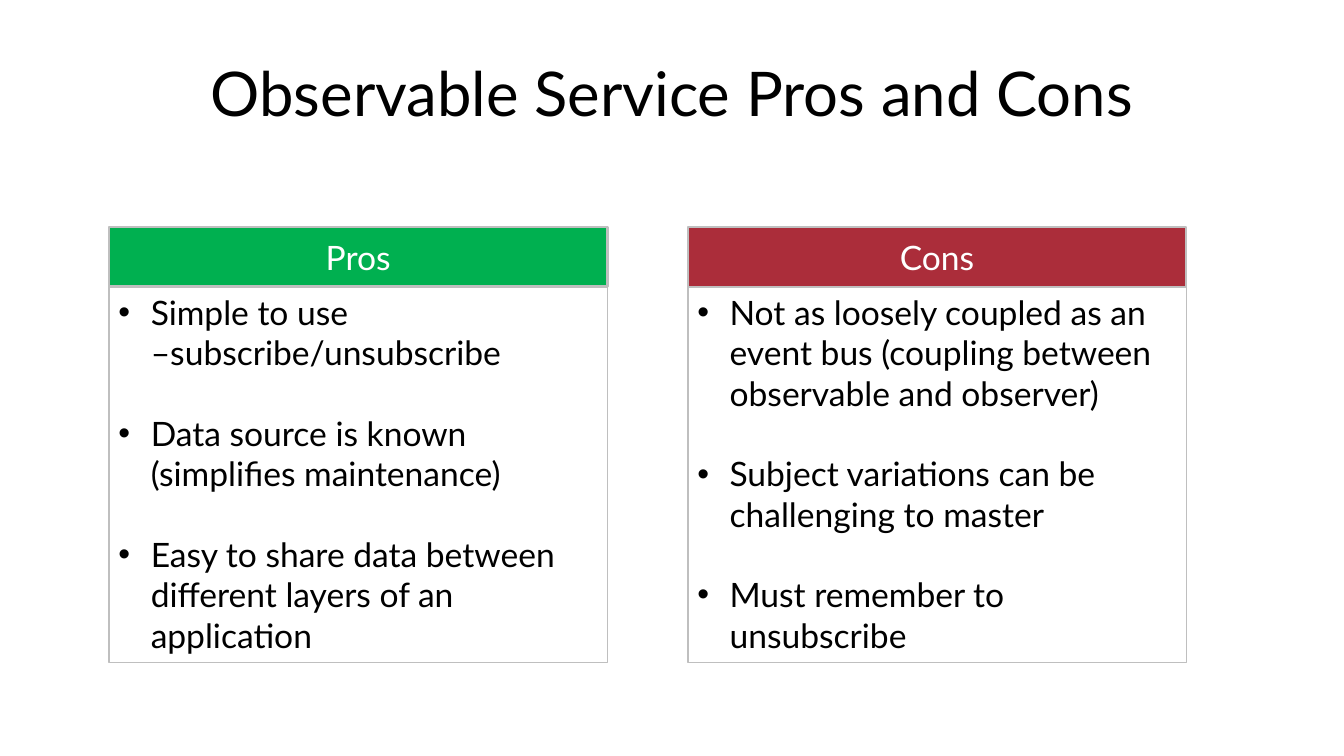
from lxml.etree import SubElement
from pptx import Presentation
from pptx.dml.color import RGBColor
from pptx.enum.shapes import MSO_SHAPE
from pptx.enum.text import MSO_ANCHOR, PP_ALIGN
from pptx.oxml.ns import qn
from pptx.util import Cm, Pt

BLACK = RGBColor(0x00, 0x00, 0x00)
WHITE = RGBColor(0xFF, 0xFF, 0xFF)
GREEN = RGBColor(0x00, 0xB0, 0x50)
RED = RGBColor(0xAB, 0x2D, 0x3A)
GRAY = RGBColor(0xBF, 0xBF, 0xBF)

COLUMN_LEFT = 2.06
COLUMN_STEP = 10.94
COLUMN_WIDTH = 9.42
HEADER_TOP = 4.29
HEADER_HEIGHT = 1.13
LIST_HEIGHT = 7.11

COLUMNS = [
    ("Pros", GREEN, 1.5, [
        "Simple to use –subscribe/unsubscribe",
        "Data source is known (simplifies maintenance)",
        "Easy to share data between different layers of an application",
    ]),
    ("Cons", RED, 1, [
        "Not as loosely coupled as an event bus (coupling between observable and observer)",
        "Subject variations can be challenging to master",
        "Must remember to unsubscribe",
    ]),
]


class SlideBuilder:
    font = "Lato"
    title_size = 33
    body_size = 18
    bullet_indent = Cm(0.61)
    bullet_gap = Pt(21.6)

    def __init__(self, page):
        self.page = page

    def prepare(self, box, anchor, side, vertical):
        frame = box.text_frame
        frame.word_wrap = True
        frame.vertical_anchor = anchor
        frame.margin_left = frame.margin_right = Cm(side)
        frame.margin_top = frame.margin_bottom = Cm(vertical)
        return frame

    def add_span(self, para, text, size, color, align):
        para.alignment = align
        span = para.add_run()
        span.text = text
        span.font.name = self.font
        span.font.size = Pt(size)
        span.font.color.rgb = color

    def add_title(self, text, left, top, width, height):
        box = self.page.shapes.add_textbox(Cm(left), Cm(top), Cm(width), Cm(height))
        para = self.prepare(box, MSO_ANCHOR.MIDDLE, 0.25, 0.25).paragraphs[0]
        para.line_spacing = 0.9
        self.add_span(para, text, self.title_size, BLACK, PP_ALIGN.CENTER)

    def add_panel(self, left, top, width, height, border):
        box = self.page.shapes.add_shape(
            MSO_SHAPE.RECTANGLE, Cm(left), Cm(top), Cm(width), Cm(height))
        box.shadow.inherit = False
        box.fill.background()
        box.line.color.rgb = GRAY
        box.line.width = Pt(border)
        return box

    def add_header(self, text, fill, border, left, top, width, height):
        box = self.add_panel(left, top, width, height, border)
        box.fill.solid()
        box.fill.fore_color.rgb = fill
        para = self.prepare(box, MSO_ANCHOR.MIDDLE, 0.25, 0.25).paragraphs[0]
        self.add_span(para, text, self.body_size, WHITE, PP_ALIGN.CENTER)

    def add_bullet(self, para):
        properties = para._p.get_or_add_pPr()
        properties.set("marL", str(self.bullet_indent))
        properties.set("indent", str(-self.bullet_indent))
        color = SubElement(properties, qn("a:buClr"))
        SubElement(color, qn("a:srgbClr"), val=str(BLACK))
        SubElement(properties, qn("a:buFont"), typeface="Arial")
        SubElement(properties, qn("a:buChar"), char="•")

    def add_list(self, items, left, top, width, height):
        box = self.add_panel(left, top, width, height, 0.75)
        frame = self.prepare(box, MSO_ANCHOR.TOP, 0.18, 0.1)
        for index, item in enumerate(items):
            para = frame.add_paragraph() if index else frame.paragraphs[0]
            self.add_bullet(para)
            if index:
                para.space_before = self.bullet_gap
            self.add_span(para, item, self.body_size, BLACK, PP_ALIGN.LEFT)


def main():
    deck = Presentation()
    deck.slide_width = Cm(25.4)
    deck.slide_height = Cm(14.29)
    builder = SlideBuilder(deck.slides.add_slide(deck.slide_layouts[6]))

    builder.add_title("Observable Service Pros and Cons", 1.27, 0.64, 22.86, 2.38)
    for index, (heading, fill, border, items) in enumerate(COLUMNS):
        left = COLUMN_LEFT + index * COLUMN_STEP
        builder.add_header(heading, fill, border, left, HEADER_TOP, COLUMN_WIDTH, HEADER_HEIGHT)
        builder.add_list(items, left, HEADER_TOP + HEADER_HEIGHT, COLUMN_WIDTH, LIST_HEIGHT)

    deck.save("out.pptx")


if __name__ == "__main__":
    main()
